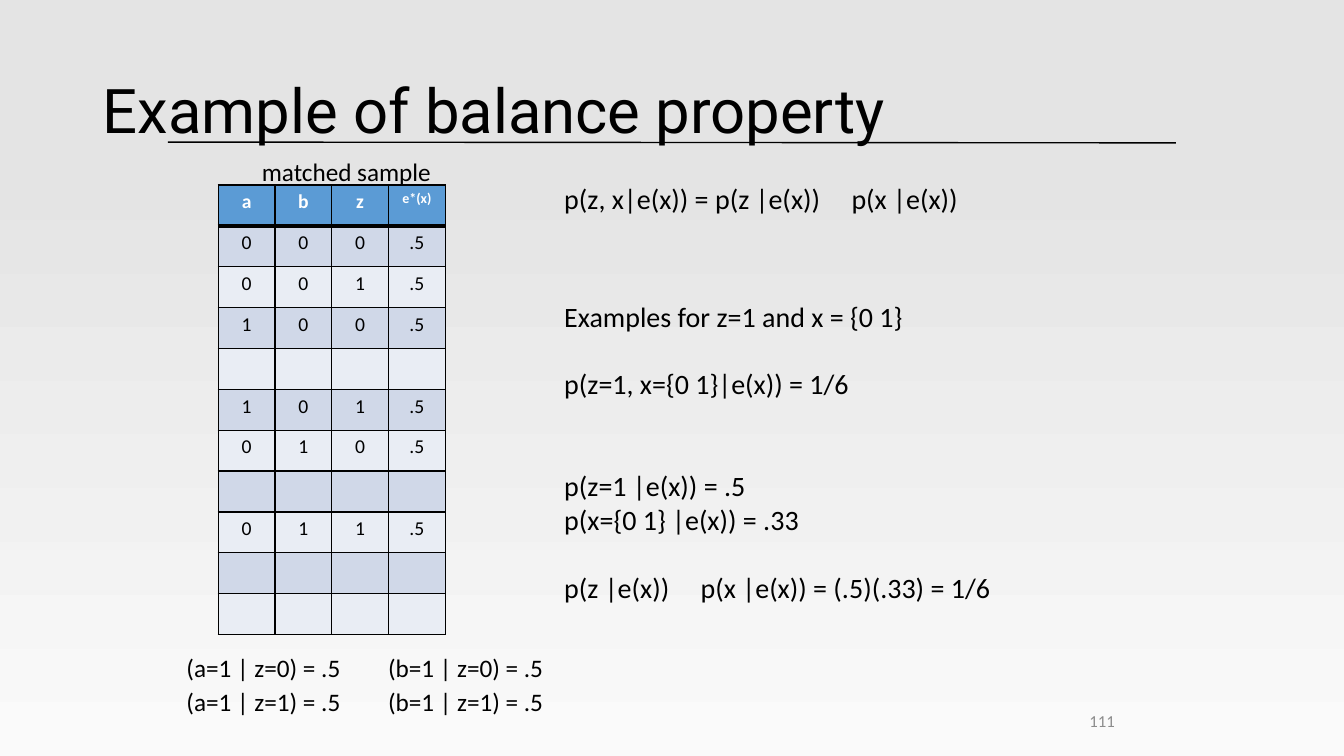
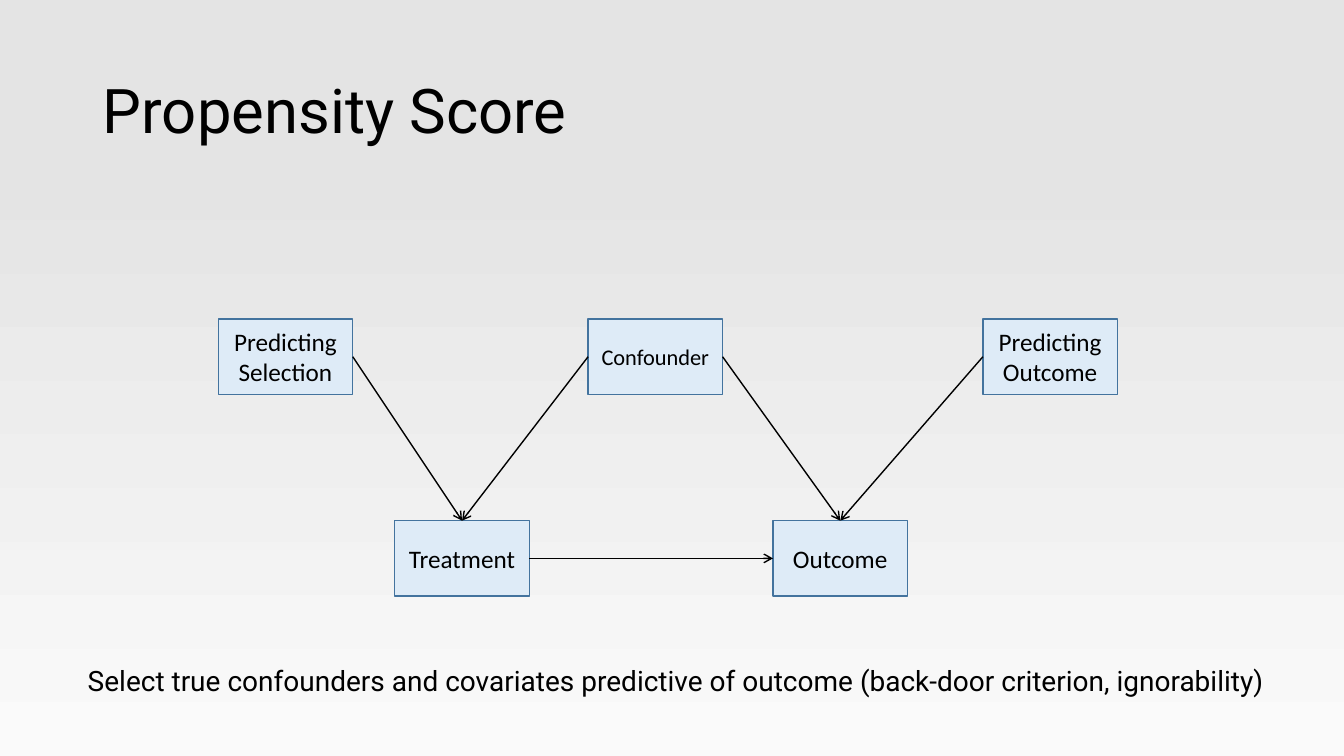
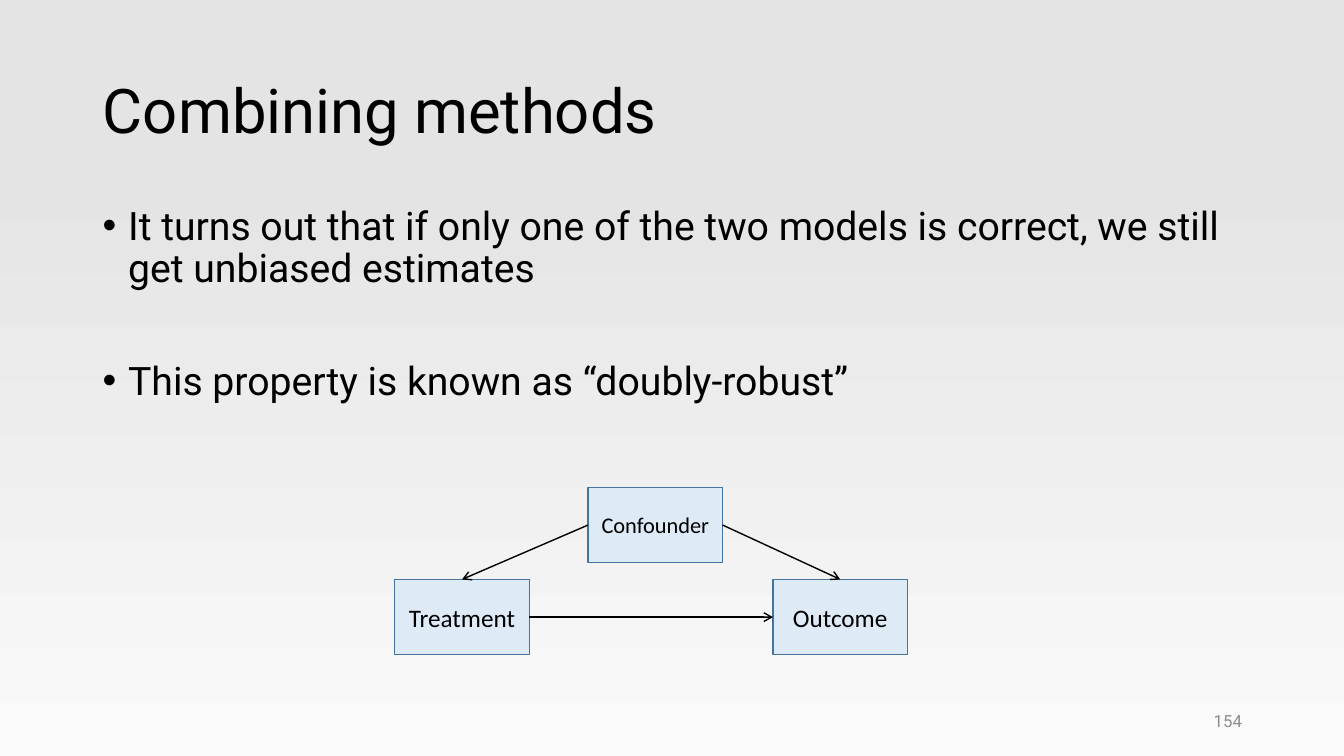
"""Build three slides on propensity scores: a balance table and two causal diagrams."""
from lxml.etree import SubElement
from pptx import Presentation
from pptx.dml.color import RGBColor
from pptx.enum.shapes import MSO_CONNECTOR, MSO_SHAPE
from pptx.enum.text import MSO_ANCHOR, PP_ALIGN
from pptx.oxml.ns import qn
from pptx.util import Cm, Pt

HUES = {
    "ink": "000000", "white": "FFFFFF", "gray": "8C8C8C",
    "low": "FAFAFA", "high": "E4E4E4",
    "head": "5B9BD5", "odd": "D0D8E8", "even": "E9EDF4",
    "box": "DEEBF7", "edge": "43739E",
}
RGB = {name: RGBColor.from_string(code) for name, code in HUES.items()}


def write(frame, text, size=18, face="Calibri", hue="ink", bold=False, align=PP_ALIGN.LEFT,
          anchor=MSO_ANCHOR.TOP, gaps=(), pitch=None, bullet=False):
    frame.word_wrap = True
    frame.vertical_anchor = anchor
    for i, line in enumerate(text.split("\n")):
        para = frame.add_paragraph() if i else frame.paragraphs[0]
        para.alignment = align
        para.line_spacing = pitch
        para.space_before = Pt(gaps[i] if gaps else 0)
        if bullet:
            props = para._p.get_or_add_pPr()
            props.set("marL", str(Cm(0.64)))
            props.set("indent", str(-Cm(0.64)))
            SubElement(props, qn("a:buFont"), typeface="Arial")
            SubElement(props, qn("a:buChar"), char="•")
        run = para.add_run()
        run.text = line
        run.font.size = Pt(size)
        run.font.name = face
        run.font.bold = bold
        run.font.color.rgb = RGB[hue]


def draw(page, x1=0, y1=0, x2=0, y2=0, arrow=False):
    line = page.shapes.add_connector(MSO_CONNECTOR.STRAIGHT, Cm(x1), Cm(y1), Cm(x2), Cm(y2))
    line.line.color.rgb = RGB["ink"]
    line.line.width = Pt(1)
    props = line._element.spPr
    if arrow:
        SubElement(props.find(qn("a:ln")), qn("a:tailEnd"), type="arrow")
    SubElement(props, qn("a:effectLst"))
    return line


deck = Presentation()
deck.slide_width, deck.slide_height = Cm(33.87), Cm(19.05)

back = deck.slide_master.background.fill
back.gradient()
back.gradient_angle = 90
for stop, (hue, place) in zip(back.gradient_stops, (("low", 0), ("high", 0.78))):
    stop.color.rgb = RGB[hue]
    stop.position = place

layout = deck.slide_layouts.get_by_name("Title Only")
pages = []
for name in ("Example of balance property", "Propensity Score", "Combining methods"):
    page = deck.slides.add_slide(layout)
    title = page.shapes.title
    title.left, title.top, title.width, title.height = Cm(2.34), Cm(1.02), Cm(29.21), Cm(3.68)
    write(title.text_frame, name, size=44, face="Roboto", anchor=MSO_ANCHOR.MIDDLE, pitch=0.9)
    pages.append(page)
match, score, blend = pages

rows = [
    ("a", "b", "z", "e*(x)"),
    ("0", "0", "0", ".5"),
    ("0", "0", "1", ".5"),
    ("1", "0", "0", ".5"),
    (),
    ("1", "0", "1", ".5"),
    ("0", "1", "0", ".5"),
    (),
    ("0", "1", "1", ".5"),
    (),
    (),
]
wide, tall = 1.43, 1.03
grid = match.shapes.add_table(len(rows), 4, Cm(5.5), Cm(4.66),
                              Cm(4 * wide), Cm(len(rows) * tall)).table
for col in grid.columns:
    col.width = Cm(wide)
for r, row in enumerate(rows):
    grid.rows[r].height = Cm(tall)
    for c in range(4):
        cell = grid.cell(r, c)
        props = cell._tc.get_or_add_tcPr()
        for side in "LRTB":
            thick = (r, side) in ((0, "B"), (1, "T"))
            rim = SubElement(props, qn(f"a:ln{side}"), w=str(Pt(3 if thick else 1)))
            SubElement(SubElement(rim, qn("a:solidFill")), qn("a:srgbClr"), val=HUES["ink"])
        cell.fill.solid()
        cell.fill.fore_color.rgb = RGB["head" if r == 0 else "odd" if r % 2 else "even"]
        if row:
            write(cell.text_frame, row[c], size=10 if row[c] == "e*(x)" else 14,
                  hue="ink" if r else "white", bold=r == 0, align=PP_ALIGN.CENTER)

draw(match, 4.23, 3.58, 29.63, 3.6)

proof = """Examples for z=1 and x = {0 1}
p(z=1, x={0 1}|e(x)) = 1/6
p(z=1 |e(x)) = .5
p(x={0 1} |e(x)) = .33
p(z |e(x))"""
claim = """It turns out that if only one of the two models is correct, we still get unbiased estimates
This property is known as “doubly-robust”"""
motto = ("Select true confounders and covariates predictive of outcome "
         "(back-door criterion, ignorability)")
big = {"size": 20}
foot = {"size": 12, "hue": "gray", "align": PP_ALIGN.RIGHT, "anchor": MSO_ANCHOR.MIDDLE}
notes = [
    (match, "matched sample", 6.35, 3.81, 5.2, 1.03, {}),
    (match, "p(z, x|e(x)) = p(z |e(x))", 13.97, 4.45, 7.2, 1.11, big),
    (match, "p(x |e(x))", 21.21, 4.45, 4, 1.11, big),
    (match, proof, 13.97, 7.41, 11.5, 7.95, {"size": 20, "gaps": (0, 24.4, 48.8, 0, 24.4)}),
    (match, "p(x |e(x)) = (.5)(.33) = 1/6", 17.41, 14.24, 9, 1.11, big),
    (match, "111", 22.43, 17.65, 5.92, 1.02, foot),
    (score, motto, 0.53, 16.59, 33.02, 1.11,
     {"size": 20, "face": "Roboto", "align": PP_ALIGN.CENTER}),
    (blend, claim, 2.34, 5.08, 29.21, 6,
     {"size": 28, "face": "Roboto", "pitch": 0.9, "gaps": (0, 50), "bullet": True}),
    (blend, "154", 23.93, 17.65, 7.62, 1.02, {**foot, "face": "Roboto"}),
]
for c, name in enumerate("ab"):
    for r in range(2):
        notes.append((match, f"({name}=1 | z={r}) = .5",
                      4.45 + 5.08 * c, 16.31 + 0.85 * r, 4.8, 1.03, {}))
for page, text, left, top, width, height, style in notes:
    area = page.shapes.add_textbox(Cm(left), Cm(top), Cm(width), Cm(height))
    write(area.text_frame, text, **style)

spots = {
    "Treatment": 9.95, "Outcome": 19.48, "Predicting Selection": 5.5,
    "Confounder": 14.82, "Predicting Outcome": 24.77,
}
ties = [
    ("Predicting Selection", 3, "Treatment", 0),
    ("Treatment", 3, "Outcome", 1),
    ("Predicting Outcome", 1, "Outcome", 0),
    ("Confounder", 1, "Treatment", 0),
    ("Confounder", 3, "Outcome", 0),
]
base = ("Treatment", "Outcome")
for page, names, upper, lower in (
    (score, list(spots), 8.04, 13.12),
    (blend, [*base, "Confounder"], 12.28, 14.6),
):
    boxes = {}
    for name in names:
        top = lower if name in base else upper
        box = page.shapes.add_shape(MSO_SHAPE.RECTANGLE, Cm(spots[name]), Cm(top),
                                    Cm(3.39), Cm(1.9))
        box.shadow.inherit = False
        box.fill.solid()
        box.fill.fore_color.rgb = RGB["box"]
        box.line.color.rgb = RGB["edge"]
        box.line.width = Pt(1)
        write(box.text_frame, name, size=16 if name == "Confounder" else 18,
              align=PP_ALIGN.CENTER, anchor=MSO_ANCHOR.MIDDLE)
        boxes[name] = box
    for start, exit, end, entry in ties:
        if start in boxes:
            line = draw(page, arrow=True)
            line.begin_connect(boxes[start], exit)
            line.end_connect(boxes[end], entry)

deck.save("out.pptx")
